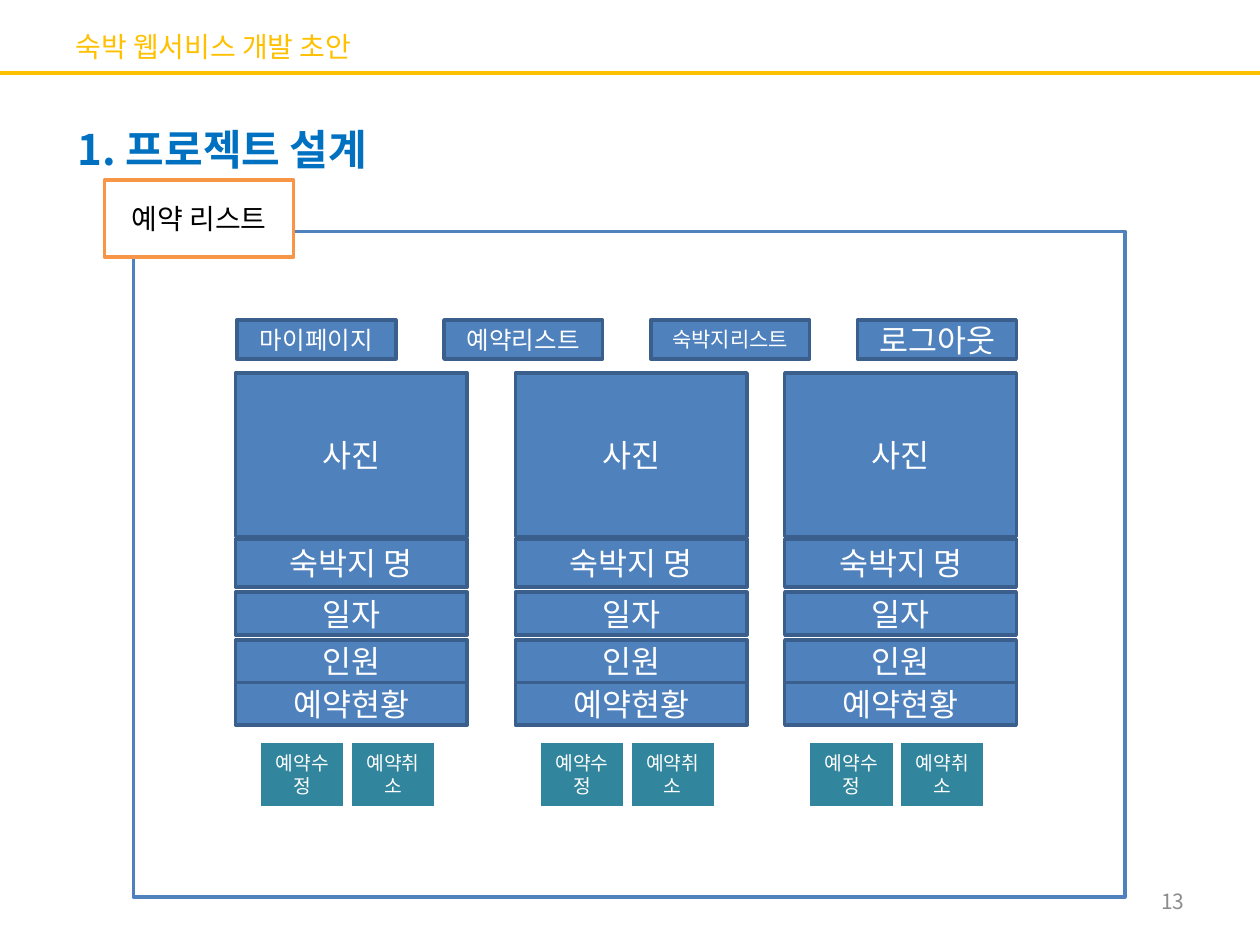
from lxml import etree
from pptx import Presentation, util as u
from pptx.dml.color import RGBColor
from pptx.enum import shapes, text
from pptx.oxml.ns import qn

FONT = "Noto Sans CJK KR"
WHITE = RGBColor(0xFF, 0xFF, 0xFF)
BLACK = RGBColor(0, 0, 0)
GOLD = RGBColor(0xFF, 0xC0, 0x00)
BLUE = RGBColor(0x4F, 0x81, 0xBD)
DARK_BLUE = RGBColor(0x3A, 0x5F, 0x8C)
HEADING_BLUE = RGBColor(0x00, 0x70, 0xC0)
ORANGE = RGBColor(0xF7, 0x96, 0x46)
TEAL = RGBColor(0x31, 0x85, 0x9C)
GREY = RGBColor(0x8C, 0x8C, 0x8C)


def write(box, words, size, color, align=text.PP_ALIGN.CENTER, bold=False, wrap=True):
    frame = box.text_frame
    frame.word_wrap = wrap
    frame.vertical_anchor = text.MSO_ANCHOR.MIDDLE
    para = frame.paragraphs[0]
    para.alignment = align
    span = para.add_run()
    span.text = words
    span.font.color.rgb = color
    for name, value in {"name": FONT, "size": u.Pt(size), "bold": bold}.items():
        setattr(span.font, name, value)
    # Hangul takes its typeface from the East Asian font
    etree.SubElement(span._r.get_or_add_rPr(), qn("a:ea"), typeface=FONT)


def add_block(place, fill, line, words="", size=18, color=WHITE):
    """Add an outlined rectangle; place is left, top, width, height in cm."""
    box = page.shapes.add_shape(shapes.MSO_SHAPE.RECTANGLE, *map(u.Cm, place))
    box.shadow.inherit = False
    box.fill.solid()
    box.fill.fore_color.rgb = fill
    box.line.color.rgb = line
    box.line.width = u.Pt(2)
    if words:
        write(box, words, size, color)


deck = Presentation()
deck.slide_width, deck.slide_height = u.Cm(25.4), u.Cm(19.05)
page = deck.slides.add_slide(deck.slide_layouts[5])

# Header
rule = page.shapes.add_connector(shapes.MSO_CONNECTOR.STRAIGHT,
                                 u.Cm(0), u.Cm(1.47), u.Cm(25.4), u.Cm(1.47))
rule.line.color.rgb = GOLD
rule.line.width = u.Pt(2.25)
etree.SubElement(rule._element.spPr, qn("a:effectLst"))

title = page.shapes.title
title_place = {"left": 1.27, "top": 0.33, "width": 22.86, "height": 1.19}
for side, length in title_place.items():
    setattr(title, side, u.Cm(length))
write(title, "숙박 웹서비스 개발 초안", 16, GOLD, text.PP_ALIGN.LEFT)

heading = page.shapes.add_textbox(u.Cm(1.32), u.Cm(2.36), u.Cm(6.96), u.Cm(1.27))
write(heading, "1. 프로젝트 설계", 24, HEADING_BLUE, text.PP_ALIGN.LEFT, bold=True, wrap=False)

# Screen frame and its label
add_block((2.69, 4.67, 19.99, 13.41), WHITE, BLUE)
add_block((2.11, 3.63, 3.81, 1.55), WHITE, ORANGE, "예약 리스트", 16, BLACK)

# Menu
menu = [("마이페이지", 14), ("예약리스트", 14), ("숙박지리스트", 12), ("로그아웃", 18)]
for index, (words, size) in enumerate(menu):
    add_block((4.78 + index * 4.17, 6.45, 3.2, 0.79), BLUE, DARK_BLUE, words, size)

# Reservation cards: label, top, height of each row
rows = [("사진", 7.52, 3.3), ("숙박지 명", 10.87, 0.97), ("일자", 11.94, 0.86),
        ("인원", 12.9, 0.86), ("예약현황", 13.76, 0.86)]
buttons = [("예약수정", 0.48), ("예약취소", 2.31)]
for left in (4.75, 10.39, 15.82):
    for words, top, height in rows:
        add_block((left, top, 4.67, height), BLUE, DARK_BLUE, words)
    for words, offset in buttons:
        add_block((left + offset, 14.94, 1.73, 1.35), TEAL, WHITE, words, 11)

page_number = page.shapes.add_textbox(u.Cm(18.21), u.Cm(17.65), u.Cm(5.92), u.Cm(1.02))
write(page_number, "13", 12, GREY, text.PP_ALIGN.RIGHT)

deck.save("out.pptx")
